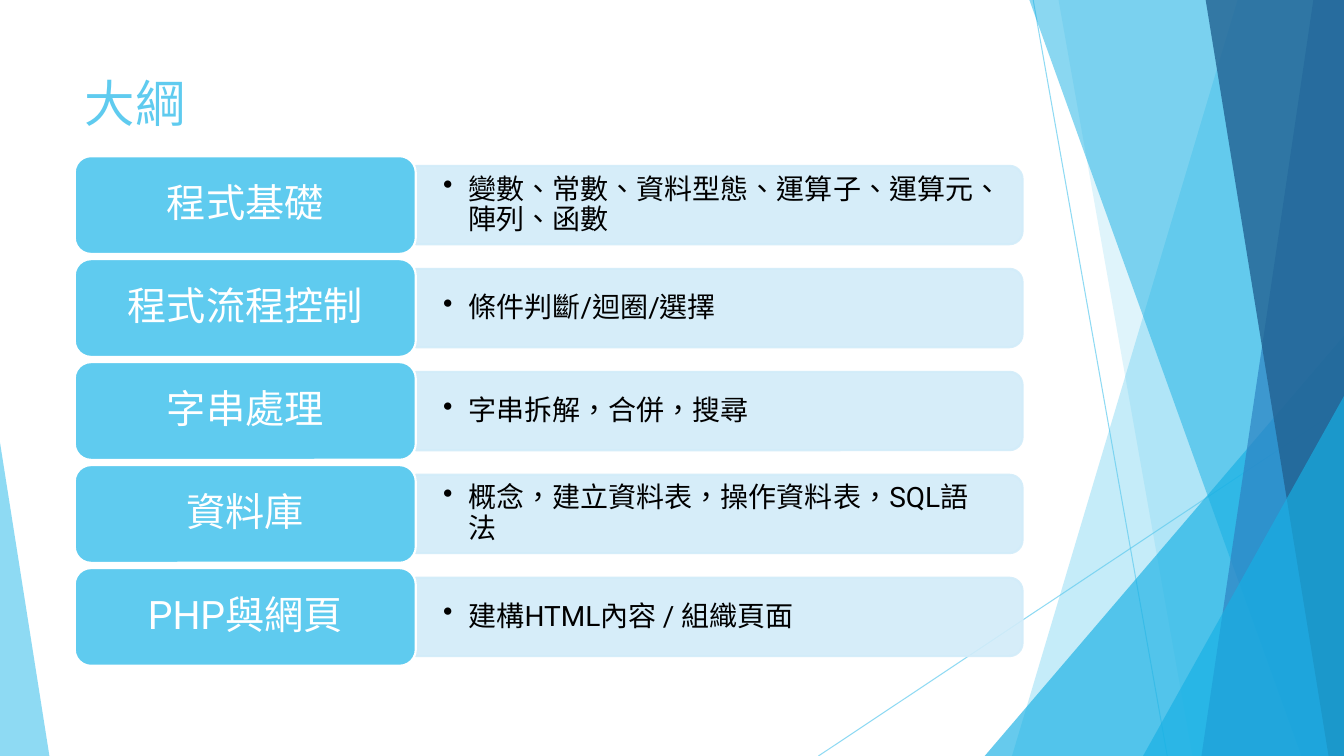
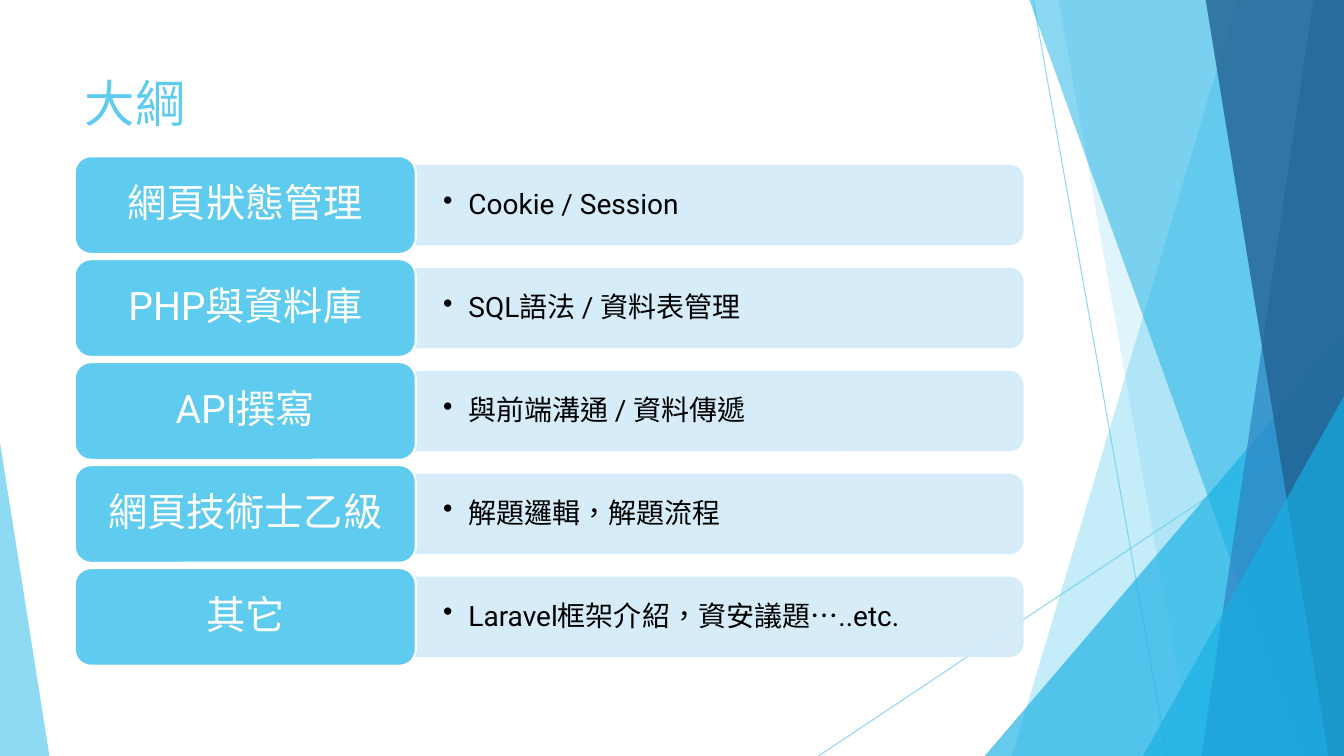
from lxml.etree import SubElement
from pptx import Presentation
from pptx.dml.color import RGBColor
from pptx.enum.lang import MSO_LANGUAGE_ID as LANGUAGE
from pptx.enum.shapes import MSO_CONNECTOR as CONNECTOR, MSO_SHAPE as SHAPE
from pptx.enum.text import MSO_ANCHOR as ANCHOR, PP_ALIGN as ALIGN
from pptx.oxml.ns import qn
from pptx.util import Pt

WIDTH, HEIGHT = 960, 540
SKY, AQUA, BLUE, NAVY = "5FCBEF", "17B0E4", "2E83C3", "226292"
PALE, WHITE, BLACK = "D2ECF9", "FFFFFF", "000000"

RAYS = [(738, 0, 833.8, HEIGHT), (WIDTH, 290.2, 584.6, HEIGHT)]
FACETS = [
    ("band", (884.2, 722.9), SKY, 36),
    ("band", (756, 851.8), SKY, 20),
    ("triangle", (703.4, 239.8, WIDTH, 1), AQUA, 66),
    ("band", (735.1, 929.5), AQUA, 50),
    ("band", (938.2, 858.2), BLUE, 70),
    ("band", (861.1, 949), NAVY, 80),
    ("triangle", (816.5, 283, WIDTH, 1), AQUA, 66),
    ("triangle", (0, 316.1, 35.3, 0), SKY, 70),
]

LABEL_LEFT, LABEL_TOP, LABEL_WIDTH, LABEL_HEIGHT = 53.4, 111.6, 243.6, 69.8
ROW_PITCH = 73.55
BAR_LEFT, BAR_WIDTH, BAR_HEIGHT = 297, 433.4, 56
DETAIL_WIDTH, DETAIL_HEIGHT = 430.6, 50.4

TITLE_FRAME = {"word_wrap": True, "vertical_anchor": ANCHOR.TOP}
LABEL_FRAME = {"word_wrap": True, "vertical_anchor": ANCHOR.MIDDLE,
               "margin_left": Pt(8.4), "margin_right": Pt(8.4),
               "margin_top": Pt(4.2), "margin_bottom": Pt(4.2)}
DETAIL_FRAME = {"word_wrap": True, "vertical_anchor": ANCHOR.MIDDLE,
                "margin_left": Pt(19.6), "margin_right": Pt(19.6),
                "margin_top": Pt(9.8), "margin_bottom": Pt(9.8)}
TITLE_PARAGRAPH = {"alignment": ALIGN.LEFT}
LABEL_PARAGRAPH = {"alignment": ALIGN.CENTER, "line_spacing": 0.9}
DETAIL_PARAGRAPH = {"alignment": ALIGN.LEFT, "line_spacing": 0.9}

OUTLINES = [
    ("大綱", [
        ("程式基礎", "變數、常數、資料型態、運算子、運算元、陣列、函數"),
        ("程式流程控制", "條件判斷/迴圈/選擇"),
        ("字串處理", "字串拆解，合併，搜尋"),
        ("資料庫", "概念，建立資料表，操作資料表，SQL語法"),
        ("PHP與網頁", "建構HTML內容 / 組織頁面"),
    ]),
    ("大綱", [
        ("網頁狀態管理", "Cookie / Session"),
        ("PHP與資料庫", "SQL語法 / 資料表管理"),
        ("API撰寫", "與前端溝通 / 資料傳遞"),
        ("網頁技術士乙級", "解題邏輯，解題流程"),
        ("其它", "Laravel框架介紹，資安議題…..etc."),
    ]),
]


def paint(fill, color, opacity=100):
    fill.solid()
    fill.fore_color.rgb = RGBColor.from_string(color)
    if opacity < 100:
        color_element = fill._xPr.find(qn("a:solidFill"))[0]
        SubElement(color_element, qn("a:alpha"), val=str(opacity * 1000))


def write(shape, text, size, color, frame_format, paragraph_format):
    frame = shape.text_frame
    paragraph = frame.paragraphs[0]
    run = paragraph.add_run()
    run.text = text
    font_format = {"name": "Roboto", "size": Pt(size),
                   "language_id": LANGUAGE.TRADITIONAL_CHINESE}
    for target, values in ((frame, frame_format), (paragraph, paragraph_format),
                           (run.font, font_format)):
        for name, value in values.items():
            setattr(target, name, value)
    paint(run.font.fill, color)
    return paragraph


presentation = Presentation()
presentation.slide_width = Pt(WIDTH)
presentation.slide_height = Pt(HEIGHT)

for title, rows in OUTLINES:
    slide = presentation.slides.add_slide(presentation.slide_layouts[6])
    shapes = slide.shapes

    for ray in RAYS:
        connector = shapes.add_connector(CONNECTOR.STRAIGHT, *map(Pt, ray))
        connector.line.width = Pt(0.75)
        paint(connector.line.fill, SKY, 70)
        SubElement(connector._element.spPr, qn("a:effectLst"))

    for kind, geometry, color, opacity in FACETS:
        if kind == "band":
            top_x, bottom_x = geometry
            builder = shapes.build_freeform(Pt(top_x), Pt(-0.6))
            corners = [(WIDTH, -0.6), (WIDTH, HEIGHT), (bottom_x, HEIGHT)]
            builder.add_line_segments([(Pt(x), Pt(y)) for x, y in corners])
            facet = builder.convert_to_shape()
        else:
            left, top, right, apex = geometry
            facet = shapes.add_shape(SHAPE.ISOSCELES_TRIANGLE, Pt(left), Pt(top),
                                     Pt(right - left), Pt(HEIGHT - top))
            facet.adjustments[0] = apex
        facet.shadow.inherit = False
        paint(facet.fill, color, opacity)
        facet.line.fill.background()

    title_box = shapes.add_textbox(Pt(53.4), Pt(48), Pt(676.8), Pt(63.6))
    write(title_box, title, 36, SKY, TITLE_FRAME, TITLE_PARAGRAPH)

    for index, (label_text, detail_text) in enumerate(rows):
        label_top = LABEL_TOP + index * ROW_PITCH
        middle = label_top + LABEL_HEIGHT / 2

        bar = shapes.add_shape(SHAPE.ROUND_2_SAME_RECTANGLE,
                               Pt(BAR_LEFT + (BAR_WIDTH - BAR_HEIGHT) / 2),
                               Pt(middle - BAR_WIDTH / 2),
                               Pt(BAR_HEIGHT), Pt(BAR_WIDTH))
        bar.rotation = 90
        label = shapes.add_shape(SHAPE.ROUNDED_RECTANGLE, Pt(LABEL_LEFT), Pt(label_top),
                                 Pt(LABEL_WIDTH), Pt(LABEL_HEIGHT))
        for shape, fill_color, line_color, opacity in ((bar, PALE, PALE, 90),
                                                       (label, SKY, WHITE, 100)):
            shape.shadow.inherit = False
            shape.line.width = Pt(1.5)
            paint(shape.fill, fill_color, opacity)
            paint(shape.line.fill, line_color, opacity)
        write(label, label_text, 28, WHITE, LABEL_FRAME, LABEL_PARAGRAPH)

        detail = shapes.add_textbox(Pt(BAR_LEFT), Pt(middle - DETAIL_HEIGHT / 2),
                                    Pt(DETAIL_WIDTH), Pt(DETAIL_HEIGHT))
        paragraph = write(detail, detail_text, 20, BLACK, DETAIL_FRAME, DETAIL_PARAGRAPH)
        properties = paragraph._p.get_or_add_pPr()
        properties.set("marL", str(Pt(18)))
        properties.set("indent", str(Pt(-18)))
        SubElement(properties, qn("a:buChar"), char="•")

presentation.save("out.pptx")
